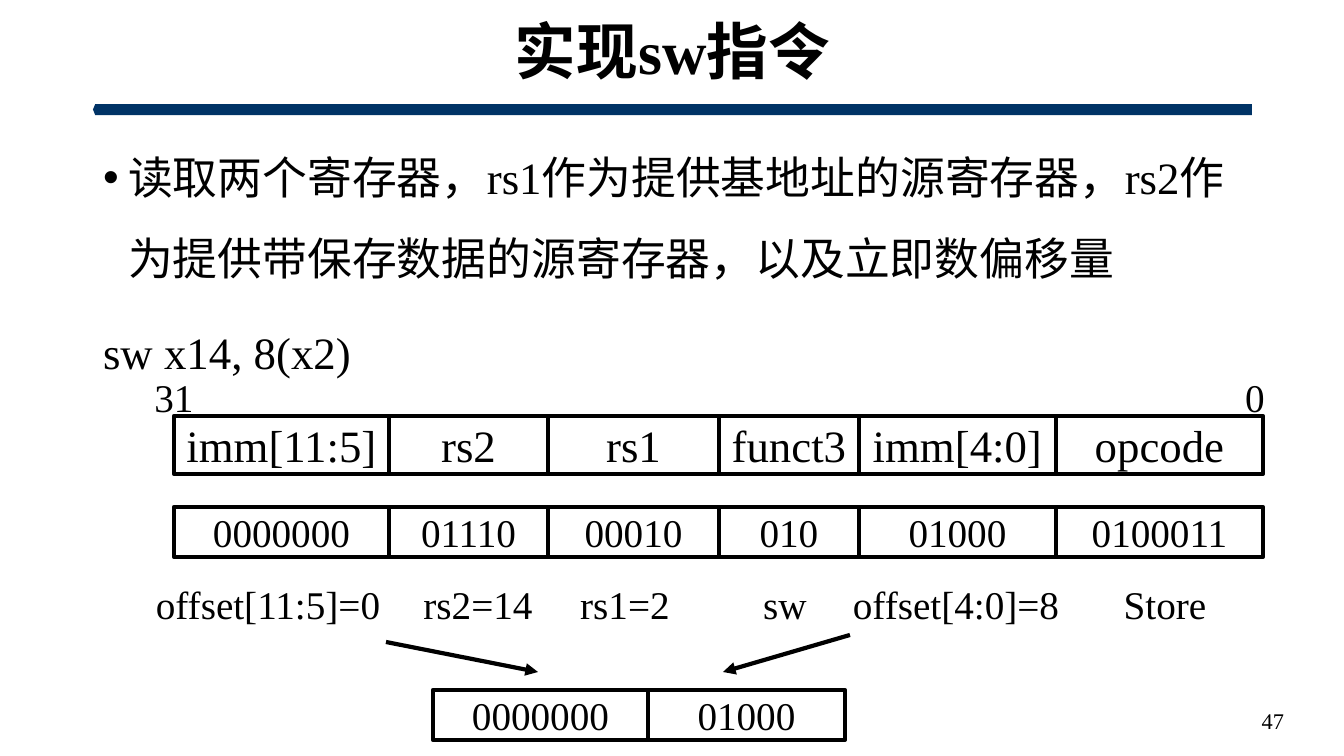
from dataclasses import dataclass
from itertools import accumulate
from lxml.etree import SubElement
from pptx import Presentation
from pptx.dml.color import RGBColor
from pptx.enum.shapes import MSO_CONNECTOR, MSO_SHAPE
from pptx.enum.text import MSO_ANCHOR, MSO_AUTO_SIZE, PP_ALIGN
from pptx.oxml.ns import qn
from pptx.util import Pt

# Content
TITLE = "实现sw指令"
BULLET = "读取两个寄存器，rs1作为提供基地址的源寄存器，rs2作为提供带保存数据的源寄存器，以及立即数偏移量"
EXAMPLE = "sw x14, 8(x2)"
PAGE = "47"
# name, bits, width, meaning, centre of meaning, width of meaning
FIELDS = [
    ("imm[11:5]", "0000000", 215, "offset[11:5]=0", 268, 260),
    ("rs2", "01110", 159, "rs2=14", 478, 136),
    ("rs1", "00010", 171, "rs1=2", 625, 145),
    ("funct3", "010", 140, "sw", 785, 100),
    ("imm[4:0]", "01000", 197, "offset[4:0]=8", 956, 238),
    ("opcode", "0100011", 207, "Store", 1165, 143),
]
BIT_ENDS = [("31", 174), ("0", 1255)]
OFFSET_FIELDS = [FIELDS[0], FIELDS[4]]
ARROWS = [((386, 642), (538, 672)), ((850, 635), (723, 672))]


@dataclass(frozen=True)
class Theme:
    font: str = "Times New Roman"
    ink: RGBColor = RGBColor(0, 0, 0)
    bar: RGBColor = RGBColor(0x00, 0x33, 0x66)
    title: int = 44
    body: int = 32
    label: int = 28
    page: int = 16
    line: int = 3


T = Theme()


def px(n):
    return round(n * 914400 / 100.8)


def place(sp, x, y, w, h):
    sp.left, sp.top, sp.width, sp.height = px(x), px(y), px(w), px(h)


def write(p, text, size, bold=False):
    r = p.add_run()
    r.text = text
    r.font.name, r.font.size, r.font.bold = T.font, Pt(size), bold
    r.font.color.rgb = T.ink


def add_text(x, y, w, h, text, size, align=PP_ALIGN.CENTER, anchor=MSO_ANCHOR.TOP):
    tf = s.shapes.add_textbox(px(x), px(y), px(w), px(h)).text_frame
    tf.word_wrap = True
    tf.vertical_anchor = anchor
    tf.paragraphs[0].alignment = align
    write(tf.paragraphs[0], text, size)


def add_row(x, y, h, cells, size):
    widths = [w for _, w in cells]
    for (text, w), left in zip(cells, accumulate(widths, initial=x)):
        sp = s.shapes.add_shape(MSO_SHAPE.RECTANGLE, px(left), px(y), px(w), px(h))
        sp.shadow.inherit = False
        sp.fill.background()
        sp.line.color.rgb = T.ink
        sp.line.width = Pt(T.line)
        tf = sp.text_frame
        tf.margin_left = tf.margin_right = 0
        tf.vertical_anchor = MSO_ANCHOR.MIDDLE
        tf.paragraphs[0].alignment = PP_ALIGN.CENTER
        write(tf.paragraphs[0], text, size)


def add_arrow(start, end):
    c = s.shapes.add_connector(MSO_CONNECTOR.STRAIGHT, *map(px, start + end))
    c.line.color.rgb = T.ink
    c.line.width = Pt(T.line)
    SubElement(c.line._get_or_add_ln(), qn("a:tailEnd"), type="triangle")
    SubElement(c._element.spPr, qn("a:effectLst"))


prs = Presentation()
prs.slide_width, prs.slide_height = px(1344), px(756)
s = prs.slides.add_slide(prs.slide_layouts[1])

# Title and bar
title, body = s.placeholders
place(title, 93, 13, 1159, 83)
tf = title.text_frame
tf.auto_size = MSO_AUTO_SIZE.NONE
tf.vertical_anchor = MSO_ANCHOR.MIDDLE
p = tf.paragraphs[0]
p.alignment, p.line_spacing = PP_ALIGN.CENTER, 0.9
write(p, TITLE, T.title, bold=True)

bar = s.shapes.add_shape(MSO_SHAPE.PENTAGON, px(93), px(104), px(1159), px(11))
bar.rotation = 180
bar.adjustments[0] = 0.2
bar.shadow.inherit = False
bar.fill.solid()
bar.fill.fore_color.rgb = T.bar
bar.line.fill.background()

# Body list
place(body, 93, 118, 1159, 559)
tf = body.text_frame
tf.auto_size = MSO_AUTO_SIZE.NONE
for text, bullet, indent, before in [(BULLET, "•", 25, 0), (EXAMPLE, None, 0, 10)]:
    p = tf.add_paragraph() if before else tf.paragraphs[0]
    pPr = p._p.get_or_add_pPr()
    pPr.set("marL", str(px(indent)))
    pPr.set("indent", str(-px(indent)))
    if bullet:
        SubElement(pPr, qn("a:buChar"), char=bullet)
    else:
        SubElement(pPr, qn("a:buNone"))
    p.line_spacing, p.space_before = 1.5, Pt(before)
    write(p, text, T.body)

# Instruction format, its encoding and the joined offset
for text, centre in BIT_ENDS:
    add_text(centre - 36, 368, 72, 58, text, T.label)
add_row(174, 416, 58, [(f[0], f[2]) for f in FIELDS], T.body)
add_row(174, 507, 50, [(f[1], f[2]) for f in FIELDS], T.label)
add_row(433, 690, 50, [(f[1], f[2]) for f in OFFSET_FIELDS], T.label)
for *_, meaning, centre, w in FIELDS:
    add_text(centre - w / 2, 575, w, 50, meaning, T.label)
for start, end in ARROWS:
    add_arrow(start, end)

# Page number
add_text(992, 701, 302, 40, PAGE, T.page, PP_ALIGN.RIGHT, MSO_ANCHOR.MIDDLE)

prs.save("out.pptx")
